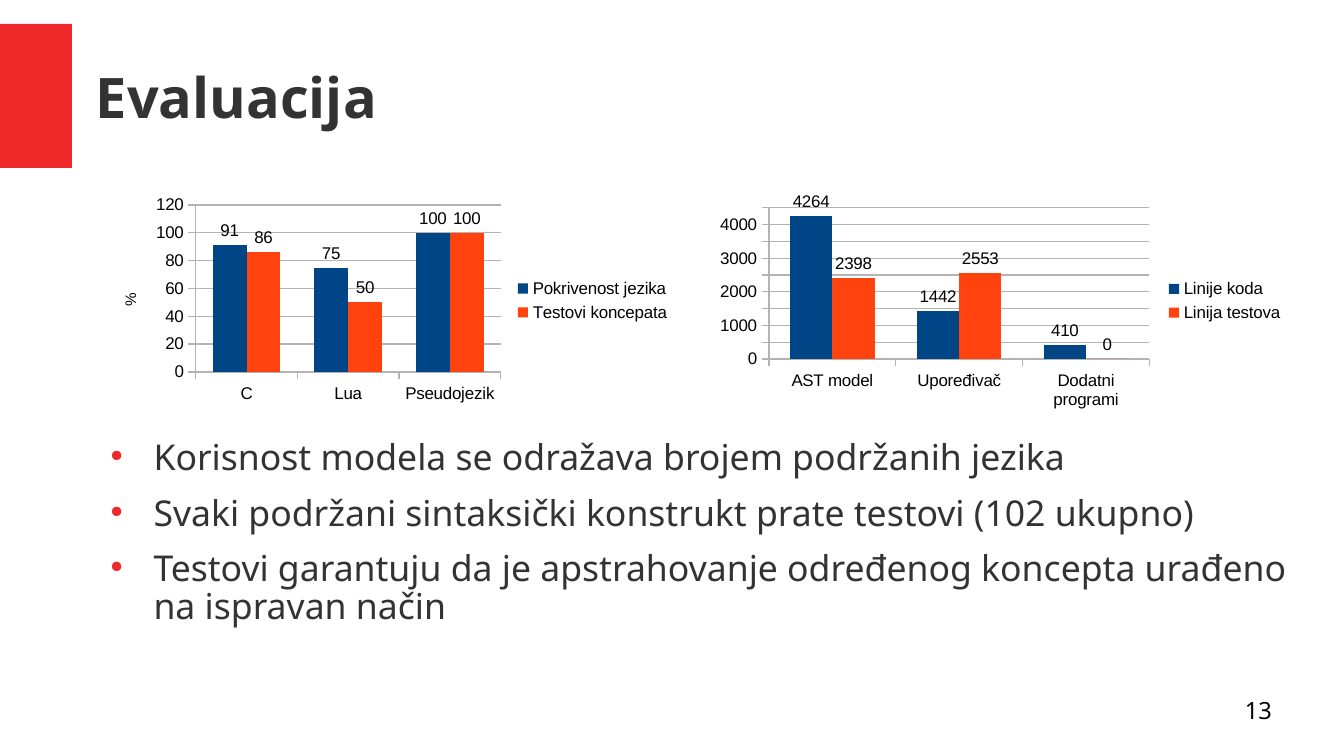
from dataclasses import dataclass

from lxml import etree
from pptx import Presentation
from pptx import oxml
from pptx import util as u
from pptx.chart.data import CategoryChartData
from pptx.dml.color import RGBColor
from pptx.enum import chart as ch, shapes, text
from pptx.oxml import ns

RED, DARK, BLACK, GREY = "EF2929", "333333", "000000", "B3B3B3"
SERIES_COLORS = ("004586", "FF420E")
LEFT, WIDTH = 2, 25


@dataclass
class BarChart:
    left: float
    width: float
    cats: list[str]
    series: dict[str, list[int]]
    top_value: int
    step: int
    plot: tuple[float, float, float, float]  # x, y, w, h as shares of the chart
    unit: str = ""


CHARTS = [
    BarChart(LEFT, 12.22, ["C", "Lua", "Pseudojezik"],
             {"Pokrivenost jezika": [91, 75, 100], "Testovi koncepata": [86, 50, 100]},
             120, 20, (0.17, 0.06, 0.52, 0.77), "%"),
    BarChart(14.8, 12.2, ["AST model", "Upoređivač", "Dodatni programi"],
             {"Linije koda": [4264, 1442, 410], "Linija testova": [2398, 2553, 0]},
             4500, 500, (0.1, 0.07, 0.65, 0.7)),
]

BULLETS = [
    "Korisnost modela se odražava brojem podržanih jezika",
    "Svaki podržani sintaksički konstrukt prate testovi (102 ukupno)",
    "Testovi garantuju da je apstrahovanje određenog koncepta urađeno na ispravan način",
]


def rgb(color: str) -> RGBColor:
    return RGBColor.from_string(color)


def set_font(font, size: float, color: str, name: str, bold: bool = False) -> None:
    font.size, font.name, font.bold = u.Pt(size), name, bold
    font.color.rgb = rgb(color)


def add_bullet(p) -> None:
    pPr = p._p.get_or_add_pPr()
    pPr.set("marL", str(u.Cm(1.2)))
    pPr.set("indent", str(u.Cm(-0.9)))
    for xml in (f'<a:buClr {ns.nsdecls("a")}><a:srgbClr val="{RED}"/></a:buClr>',
                f'<a:buSzPct {ns.nsdecls("a")} val="45000"/>',
                f'<a:buChar {ns.nsdecls("a")} char="●"/>'):
        pPr.append(oxml.parse_xml(xml))


def add_text(s, box: tuple, lines: list[str], *, size: float, color: str = DARK,
             bold: bool = False, align=text.PP_ALIGN.LEFT, anchor=text.MSO_ANCHOR.TOP,
             bullets: bool = False, spacing: float = 1, after: float = 0) -> None:
    tf = s.shapes.add_textbox(*map(u.Cm, box)).text_frame
    tf.word_wrap, tf.vertical_anchor = True, anchor
    tf.margin_left = tf.margin_right = tf.margin_top = tf.margin_bottom = 0
    for i, line in enumerate(lines):
        p = tf.add_paragraph() if i else tf.paragraphs[0]
        if bullets:
            add_bullet(p)
        p.alignment, p.line_spacing, p.space_after = align, spacing, u.Pt(after)
        r = p.add_run()
        r.text = line
        set_font(r.font, size, color, "Noto Sans", bold)


def style_axis(axis) -> None:
    set_font(axis.tick_labels.font, 10, BLACK, "Arial")
    axis.major_tick_mark = ch.XL_TICK_MARK.OUTSIDE
    axis.minor_tick_mark = ch.XL_TICK_MARK.NONE
    axis.format.line.color.rgb = rgb(GREY)
    axis.format.line.width = 0


def place_plot(chart, plot: tuple) -> None:
    """Fix the inner plot area, given as shares of the chart."""
    area = chart._chartSpace.chart.plotArea
    for old in area.findall(ns.qn("c:layout")):
        area.remove(old)
    layout = etree.Element(ns.qn("c:layout"))
    manual = etree.SubElement(layout, ns.qn("c:manualLayout"))
    settings = [("layoutTarget", "inner"), ("xMode", "edge"), ("yMode", "edge"),
                *zip("xywh", plot)]
    for tag, value in settings:
        etree.SubElement(manual, ns.qn(f"c:{tag}")).set("val", str(value))
    area.insert(0, layout)


def add_bar_chart(s, spec: BarChart) -> None:
    data = CategoryChartData()
    data.categories = spec.cats
    for name, values in spec.series.items():
        data.add_series(name, values)
    chart = s.shapes.add_chart(ch.XL_CHART_TYPE.COLUMN_CLUSTERED, u.Cm(spec.left), u.Cm(4),
                               u.Cm(spec.width), u.Cm(4.52), data).chart
    set_font(chart.font, 10, BLACK, "Arial")
    chart.has_title = False
    chart.has_legend = True
    chart.legend.position = ch.XL_LEGEND_POSITION.RIGHT
    chart.legend.include_in_layout = False
    set_font(chart.legend.font, 10, BLACK, "Arial")
    place_plot(chart, spec.plot)

    values = chart.value_axis
    for axis in (chart.category_axis, values):
        style_axis(axis)
    values.minimum_scale, values.maximum_scale = 0, spec.top_value
    values.major_unit = spec.step
    values.has_major_gridlines = True
    values.major_gridlines.format.line.color.rgb = rgb(GREY)
    values.major_gridlines.format.line.width = 0
    if spec.unit:
        tf = values.axis_title.text_frame
        tf.text = spec.unit
        set_font(tf.paragraphs[0].runs[0].font, 9, BLACK, "Arial")

    bars = chart.plots[0]
    bars.gap_width, bars.overlap, bars.vary_by_categories = 100, 0, False
    for series, color in zip(bars.series, SERIES_COLORS):
        series.invert_if_negative = False
        series.format.fill.solid()
        series.format.fill.fore_color.rgb = rgb(color)
        labels = series.data_labels
        labels.show_value = True
        labels.position = ch.XL_LABEL_POSITION.OUTSIDE_END
        set_font(labels.font, 10, BLACK, "Arial")


def main() -> None:
    prs = Presentation()
    prs.slide_width, prs.slide_height = u.Cm(28), u.Cm(15.75)
    s = prs.slides.add_slide(prs.slide_layouts[6])

    sp = s.shapes.add_shape(shapes.MSO_SHAPE.RECTANGLE, 0, u.Cm(0.5), u.Cm(1.5), u.Cm(3))
    sp.shadow.inherit = False
    sp.fill.solid()
    sp.fill.fore_color.rgb = rgb(RED)
    sp.line.fill.background()

    add_text(s, (LEFT, 0.5, WIDTH, 3), ["Evaluacija"], size=33, bold=True,
             anchor=text.MSO_ANCHOR.MIDDLE)
    for spec in CHARTS:
        add_bar_chart(s, spec)
    add_text(s, (LEFT, 9.17, WIDTH, 4.52), BULLETS, size=21, bullets=True,
             spacing=0.9, after=10)
    add_text(s, (20, 14.5, 6.5, 1.1), ["13"], size=14, color=BLACK,
             align=text.PP_ALIGN.RIGHT)
    prs.save("out.pptx")


if __name__ == "__main__":
    main()
